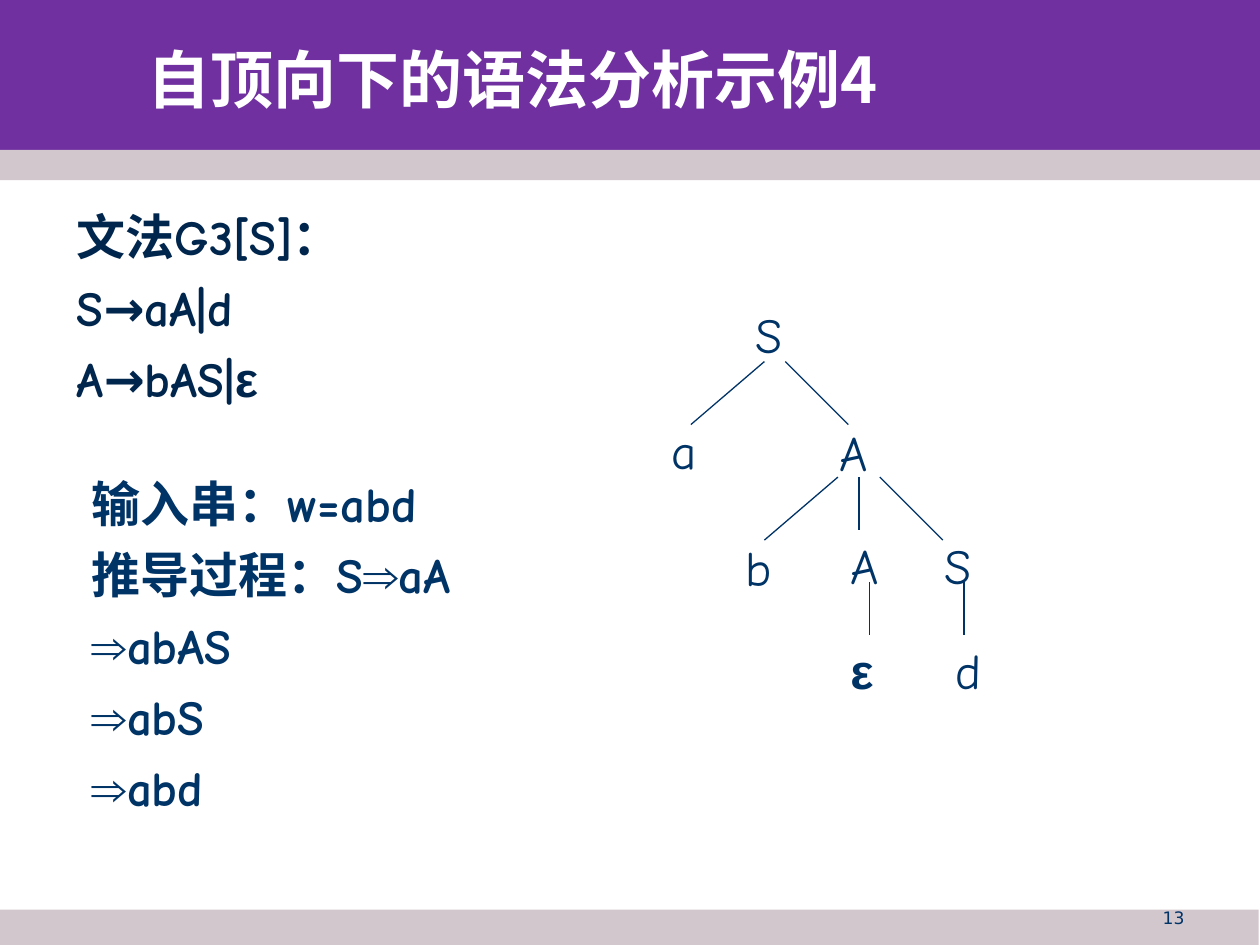
from itertools import groupby

from lxml import etree
from pptx import Presentation
from pptx import util as u
from pptx.dml.color import RGBColor
from pptx.enum import shapes, text
from pptx.oxml import ns

COLORS = {"banner": "7030A0", "band": "D3C7CE", "white": "FFFFFF",
          "ink": "003366", "dark": "00264D"}
HEADING, BODY, SYMBOL, NUMBER = "Noto Sans CJK SC", "Comic Neue", "Arial", "DejaVu Sans"
SYMBOLS = "ε⇒"

# Tree positions are in twelfths of an inch from the root label.
NODES = [("S", 0, 0), ("a", -8, 11), ("A", 8, 11.2), ("b", -1, 22.2), ("A", 9, 22),
         ("S", 18, 22), ("ε", 9, 32), ("d", 19, 32)]
BRANCHES = [((2, 6), (-5, 12)), ((4, 6), (10, 12)),
            ((9, 17), (2, 23)), ((11, 17), (11, 22)), ((13, 17), (19, 23)),
            ((12, 27), (12, 32)), ((21, 27), (21, 32))]


def color(name):
    return RGBColor.from_string(COLORS[name])


def write(frame, lines, font=BODY, size=28, ink="ink", bold=False, before=0,
          align=text.PP_ALIGN.LEFT, spacing=None, hanging=None):
    """Fill a frame with one paragraph a line, symbols in their own font."""
    frame.word_wrap = True
    for index, line in enumerate(lines):
        paragraph = frame.add_paragraph() if index else frame.paragraphs[0]
        paragraph.alignment = align
        paragraph.space_before = u.Pt(before if index else 0)
        if spacing:
            paragraph.line_spacing = spacing
        if hanging is not None:
            properties = paragraph._p.get_or_add_pPr()
            properties.set("marL", str(u.Inches(hanging)))
            properties.set("indent", str(-u.Inches(hanging)))
            etree.SubElement(properties, ns.qn("a:buNone"))
        for symbolic, letters in groupby(line, lambda letter: letter in SYMBOLS):
            run = paragraph.add_run()
            run.text = "".join(letters)
            run.font.name = SYMBOL if symbolic else font
            run.font.size = u.Pt(size)
            run.font.bold = bold
            run.font.color.rgb = color(ink)
            east_asian = etree.SubElement(run.font._element, ns.qn("a:ea"))
            east_asian.set("typeface", run.font.name)


class Deck:
    def __init__(self, width=10, height=7.5):
        self.presentation = Presentation()
        self.presentation.slide_width = u.Inches(width)
        self.presentation.slide_height = u.Inches(height)
        self.slide = self.presentation.slides.add_slide(self.presentation.slide_layouts[1])
        self.root = (5.9, 2.37)

    def tree_point(self, column, row):
        return self.root[0] + column / 12, self.root[1] + row / 12

    def bar(self, box, fill):
        shape = self.slide.shapes.add_shape(shapes.MSO_SHAPE.RECTANGLE, *map(u.Inches, box))
        shape.shadow.inherit = False
        shape.fill.solid()
        shape.fill.fore_color.rgb = color(fill)
        shape.line.fill.background()

    def placeholder(self, index, box, lines, anchor, **style):
        """Move a template placeholder in front of the bars and fill it."""
        shape = self.slide.placeholders[index]
        shape.left, shape.top, shape.width, shape.height = map(u.Inches, box)
        shape.element.getparent().append(shape.element)
        shape.text_frame.auto_size = text.MSO_AUTO_SIZE.NONE
        shape.text_frame.vertical_anchor = anchor
        write(shape.text_frame, lines, **style)

    def label(self, box, lines, **style):
        shape = self.slide.shapes.add_textbox(*map(u.Inches, box))
        write(shape.text_frame, lines, **style)

    def node(self, name, column, row):
        self.label((*self.tree_point(column, row), 0.75, 0.57), [name], bold=name in SYMBOLS)

    def branch(self, start, end):
        ends = self.tree_point(*start) + self.tree_point(*end)
        line = self.slide.shapes.add_connector(shapes.MSO_CONNECTOR.STRAIGHT,
                                               *map(u.Inches, ends))
        line.line.color.rgb = color("ink")
        line.line.width = u.Pt(0.75)
        etree.SubElement(line._element.spPr, ns.qn("a:effectLst"))


def main():
    deck = Deck()
    deck.bar((0, 0, 10, 1.31), "banner")
    deck.bar((0, 1.19, 10, 0.24), "band")
    deck.bar((0, 7.22, 9.99, 0.3), "band")
    deck.label((7.17, 7.18, 2.33, 0.31), ["13"], font=NUMBER, size=9.8,
               align=text.PP_ALIGN.RIGHT, spacing=0.8)
    deck.placeholder(0, (1.07, 0.21, 8.93, 0.83), ["自顶向下的语法分析示例4"],
                     text.MSO_ANCHOR.MIDDLE, font=HEADING, size=36, ink="white", bold=True)
    deck.placeholder(1, (0.51, 1.59, 3.23, 1.78), ["文法G3[S]：", "S→aA|d", "A→bAS|ε"],
                     text.MSO_ANCHOR.TOP, ink="dark", bold=True, before=7, hanging=0.38)
    deck.label((0.63, 3.71, 3.92, 2.83),
               ["输入串：w=abd", "推导过程：S⇒aA", "⇒abAS", "⇒abS", "⇒abd"],
               bold=True, before=7)
    for start, end in BRANCHES:
        deck.branch(start, end)
    for name, column, row in NODES:
        deck.node(name, column, row)
    deck.presentation.save("out.pptx")


if __name__ == "__main__":
    main()
